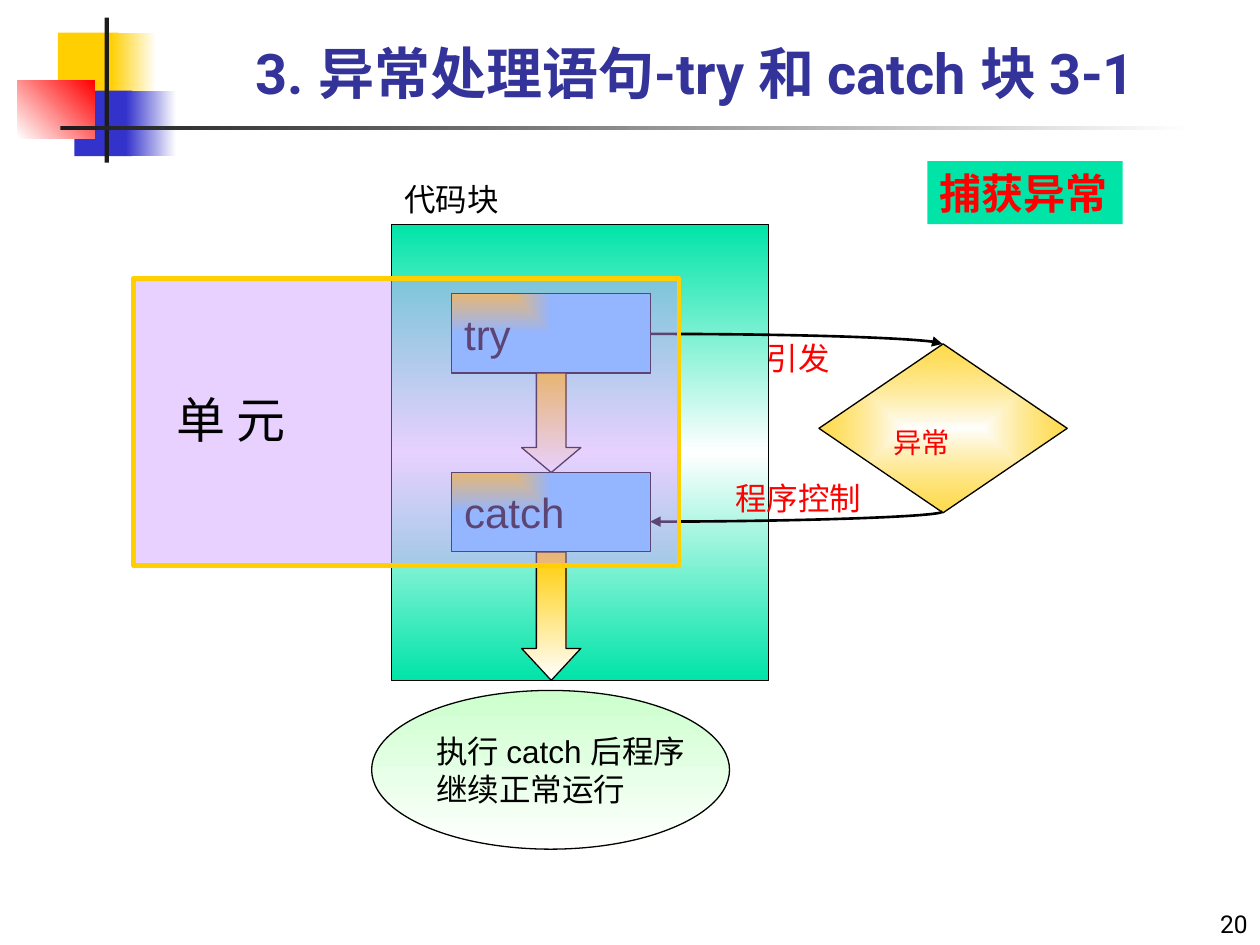
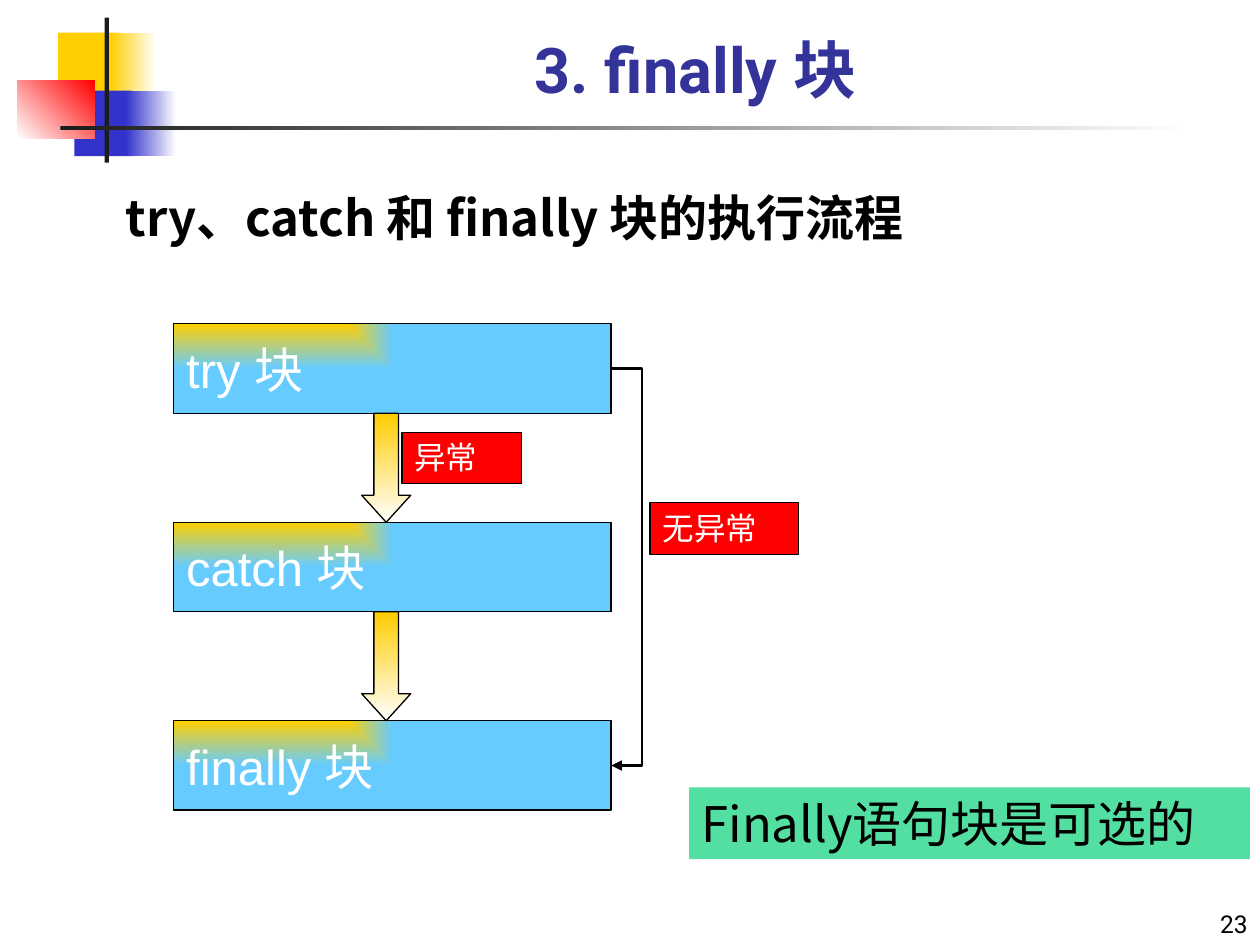
from typing import NamedTuple

from lxml import etree
from pptx import Presentation
from pptx.dml.color import RGBColor
from pptx.enum.shapes import MSO_CONNECTOR, MSO_SHAPE
from pptx.enum.text import MSO_ANCHOR, MSO_AUTO_SIZE, PP_ALIGN
from pptx.oxml.ns import qn
from pptx.util import Inches, Pt

RECT, OVAL = MSO_SHAPE.RECTANGLE, MSO_SHAPE.OVAL
PROCESS, DECISION = MSO_SHAPE.FLOWCHART_PROCESS, MSO_SHAPE.FLOWCHART_DECISION
DOWN_ARROW = MSO_SHAPE.DOWN_ARROW
CURVE, ELBOW = MSO_CONNECTOR.CURVE, MSO_CONNECTOR.ELBOW
LEFT, CENTER, RIGHT = PP_ALIGN.LEFT, PP_ALIGN.CENTER, PP_ALIGN.RIGHT
TOP, MIDDLE, BOTTOM = MSO_ANCHOR.TOP, MSO_ANCHOR.MIDDLE, MSO_ANCHOR.BOTTOM
NO_AUTOFIT = MSO_AUTO_SIZE.NONE

COLUMNS, ROWS = 100, 75
CELL = Inches(0.1)

BLACK, WHITE, RED, CHARCOAL = "000000", "FFFFFF", "FF0000", "1C1C1C"
GOLD, AMBER, INDIGO, NAVY = "FFCF01", "FFCC00", "3333CC", "333399"
SKY, TEAL, MINT, LIME = "66CCFF", "00E4A8", "54DFA2", "CCFFCC"
LILAC_GLASS, AMBER_GLASS = "CC99FF@45", "FFCC00@70"
ARIAL, ROBOTO, NOTO = "Arial", "Roboto", "Noto Sans CJK SC"


class Box(NamedTuple):
    """A rectangle in grid columns and rows."""
    x: float
    y: float
    w: float
    h: float

    def inner(self, dx, dy, w, h):
        """Return a box offset from this one's corner."""
        return Box(self.x + dx, self.y + dy, w, h)

    def emu(self):
        """Return the box in slide units."""
        return [round(v * CELL) for v in self]


PAGE = Box(0, 0, COLUMNS, ROWS)


def fade(start, end, angle=0):
    """Describe a linear two-colour gradient."""
    return {"stops": [(0, start), (100, end)], "angle": angle}


CORNER_GLOW = {"stops": [(0, GOLD), (100, SKY)], "outline": "rect",
               "focus": (0, 0, 100, 100)}
CENTER_GLOW = {"stops": [(0, WHITE), (100, AMBER_GLASS)], "outline": "shape",
               "focus": (50, 50, 50, 50)}
TEAL_BAND = {"stops": [(0, TEAL), (50, WHITE), (100, TEAL)], "angle": 90}


def rgb(colour):
    """Turn a hex string into a colour."""
    return RGBColor.from_string(colour)


def child(parent, tag, **attrs):
    """Append a drawing element with the given attributes."""
    return etree.SubElement(parent, qn(tag), {k: str(v) for k, v in attrs.items()})


def tint(parent, colour):
    """Append a hex colour, with an optional opacity after @."""
    value, _, opacity = colour.partition("@")
    node = child(parent, "a:srgbClr", val=value)
    if opacity:
        child(node, "a:alpha", val=int(opacity) * 1000)


def paint(s, fill):
    """Fill a shape with a colour or a gradient."""
    s.fill.solid()
    solid = s.element.spPr.find(qn("a:solidFill"))
    if isinstance(fill, str):
        solid.clear()
        tint(solid, fill)
        return
    grad = etree.Element(qn("a:gradFill"), rotWithShape="1")
    stops = child(grad, "a:gsLst")
    for pos, colour in fill["stops"]:
        tint(child(stops, "a:gs", pos=pos * 1000), colour)
    if "focus" in fill:
        node = child(grad, "a:path", path=fill["outline"])
        child(node, "a:fillToRect",
              **{k: v * 1000 for k, v in zip("ltrb", fill["focus"])})
    else:
        child(grad, "a:lin", ang=fill["angle"] * 60000, scaled=0)
    s.element.spPr.replace(solid, grad)


def write(tf, text, size, colour=BLACK, font=ARIAL, bold=False, align=LEFT,
          **frame):
    """Write lines of text in one format."""
    for name, value in frame.items():
        setattr(tf, name, value)
    for i, line in enumerate(text.split("\n")):
        p = tf.add_paragraph() if i else tf.paragraphs[0]
        p.alignment = align
        r = p.add_run()
        r.text = line
        for name, value in {"name": font, "size": Pt(size), "bold": bold}.items():
            setattr(r.font, name, value)
        r.font.color.rgb = rgb(colour)


def add_figure(slide, kind, box, fill, line=None, width=0.75, text="", **fmt):
    """Add a preset shape, with text if there is any."""
    s = slide.shapes.add_shape(kind, *box.emu())
    s.shadow.inherit = False
    paint(s, fill)
    if line:
        s.line.color.rgb = rgb(line)
        s.line.width = Pt(width)
    else:
        s.line.fill.background()
    if text:
        write(s.text_frame, text, **fmt)
    return s


def add_text(slide, box, text, size, **fmt):
    """Add a wrapping text box."""
    tf = slide.shapes.add_textbox(*box.emu()).text_frame
    write(tf, text, size, **{"word_wrap": True, **fmt})


def add_down_arrow(slide, box, head):
    """Add a golden block arrow."""
    s = add_figure(slide, DOWN_ARROW, box, fade(AMBER, WHITE, 90), BLACK)
    s.adjustments[0], s.adjustments[1] = 0.5, head


def add_route(slide, kind, preset, box, turn=0, bend=None):
    """Add an arrow running across a box from corner to corner."""
    x, y, w, h = box.emu()
    c = slide.shapes.add_connector(kind, x, y, x + w, y + h)
    c.line.color.rgb = rgb(BLACK)
    c.line.width = Pt(1.5)
    sp_pr = c.element.spPr
    child(sp_pr.find(qn("a:ln")), "a:tailEnd", type="triangle")
    child(sp_pr, "a:effectLst")
    sp_pr.find(qn("a:xfrm")).set("rot", str(turn * 60000))
    geom = sp_pr.find(qn("a:prstGeom"))
    geom.set("prst", preset)
    if bend:
        guides = geom.find(qn("a:avLst"))
        if guides is None:
            guides = child(geom, "a:avLst")
        child(guides, "a:gd", name="adj1", fmla=f"val {round(bend * 100000)}")


def add_emblem(slide, layout, box):
    """Draw the coloured squares and rules, and move them to the layout."""
    pieces = [
        ((3.2, 1.2, 4.8, 5.2), GOLD),
        ((7.4, 1.2, 3.6, 5.2), fade(GOLD, WHITE)),
        ((4.5, 5.8, 4.6, 5.2), INDIGO),
        ((8.6, 5.8, 4, 5.2), fade(INDIGO, WHITE)),
        ((0, 5, 6.1, 4.6), fade(WHITE, RED, 315)),
        ((6.9, 0, 0.35, 11.5), CHARCOAL),
        ((3.4, 8.6, 90, 0.35), fade(CHARCOAL, WHITE)),
    ]
    for place, fill in pieces:
        s = add_figure(slide, RECT, box.inner(*place), fill)
        layout.shapes.element.append(s.element)


def add_heading(slide, box, title, size, number):
    """Fill the title placeholder and add the page number."""
    s = slide.shapes.title
    s.left, s.top, s.width, s.height = box.inner(12.6, -0.3, 85.2, 9.2).emu()
    write(s.text_frame, title, size, NAVY, ROBOTO, True, CENTER,
          vertical_anchor=BOTTOM, word_wrap=True, auto_size=NO_AUTOFIT)
    add_text(slide, box.inner(42.9, 71.4, 57.1, 3.6), number, 14, font=ROBOTO,
             align=RIGHT, vertical_anchor=BOTTOM)


def add_code_block(slide, box):
    """Draw the code block with its try and catch steps."""
    pitch, step_h = 14.2, 6.3
    add_figure(slide, PROCESS, box, TEAL_BAND, BLACK)
    for i, word in enumerate(("try", "catch")):
        add_figure(slide, PROCESS, box.inner(4.75, 5.5 + i * pitch, 15.75, step_h),
                   CORNER_GLOW, BLACK, text=word, size=24, word_wrap=False,
                   vertical_anchor=MIDDLE)
    for i, (length, head) in enumerate(((pitch - step_h, 0.42), (10.2, 0.54))):
        top = 5.5 + i * pitch + step_h
        add_down_arrow(slide, box.inner(10.3, top, 4.7, length), head)
    add_figure(slide, OVAL, box.inner(-1.6, 37, 28.4, 12.6), fade(LIME, WHITE, 90),
               BLACK, text="执行 catch 后程序\n继续正常运行", size=18,
               word_wrap=False, vertical_anchor=MIDDLE)
    add_text(slide, box.inner(0, -4, 25.2, 4), "代码块", 18)


def add_exception_loop(slide, box):
    """Draw the exception diamond and the arrows to and from it."""
    s = add_figure(slide, DECISION, box.inner(13.4, 0.8, 19.7, 13.4), CENTER_GLOW,
                   BLACK, text="异常", size=28, colour=RED, word_wrap=False,
                   vertical_anchor=TOP)
    for props in s.element.iter(qn("a:rPr")):
        props.set("baseline", "-25000")
    add_route(slide, CURVE, "curvedConnector2", box.inner(11.2, 2.9, 0.8, 23.2), 90)
    add_route(slide, CURVE, "curvedConnector2", box.inner(0, 0, 23.2, 0.8))
    for dy, caption in ((11, "程序控制"), (-0.1, "引发")):
        add_text(slide, box.inner(1.5, dy, 20.5, 4), caption, 18, colour=RED,
                 align=CENTER, margin_left=0, margin_right=0)


def add_unit(slide, box):
    """Lay the translucent unit frame over the steps."""
    add_figure(slide, RECT, box, LILAC_GLASS, GOLD, 2.5)
    add_text(slide, box.inner(2.4, 8.3, 12.6, 5.7), "单 元", 28)


def add_tag(slide, box, fill, text, size, line=None, **fmt):
    """Add a filled label."""
    add_figure(slide, RECT, box, fill, line, text=text, size=size,
               vertical_anchor=TOP, **fmt)


def add_flow(slide, box):
    """Draw the try, catch and finally steps with their routes."""
    pitch, step_h = 15.75, 7.1
    for i, word in enumerate(("try", "catch", "finally")):
        add_figure(slide, RECT, box.inner(0, i * pitch, box.w, step_h), CORNER_GLOW,
                   BLACK, text=f"{word} 块", size=28, colour=WHITE,
                   word_wrap=False, vertical_anchor=MIDDLE)
    for i in range(2):
        add_down_arrow(slide, box.inner(14.9, i * pitch + step_h, 3.9,
                                        pitch - step_h), 0.55)
    sliver, reach = 0.02, 2.5
    add_route(slide, ELBOW, "bentConnector3",
              box.inner(box.w, step_h / 2, sliver, 2 * pitch), bend=reach / sliver)
    for place, label in (((37.8, 14.2, 11.8, 4.1), "无异常"),
                         ((18.1, 8.6, 9.5, 4.1), "异常")):
        add_tag(slide, box.inner(*place), RED, label, 18, BLACK, colour=WHITE)


def build_catch_slide(slide):
    """Build the slide on try and catch."""
    add_heading(slide, PAGE, "3. 异常处理语句-try 和 catch 块 3-1", 32, "20")
    add_code_block(slide, PAGE.inner(31.1, 17.8, 29.9, 36.2))
    add_exception_loop(slide, PAGE.inner(51.6, 26.5, 33.1, 15))
    add_unit(slide, PAGE.inner(10.6, 22.1, 43.3, 22.8))
    add_tag(slide, PAGE.inner(73.6, 12.8, 15.5, 5), TEAL, "捕获异常", 24,
            colour=RED, font=NOTO, bold=True, word_wrap=False)


def build_finally_slide(slide):
    """Build the slide on finally."""
    add_heading(slide, PAGE, "3. finally 块", 36, "23")
    add_flow(slide, PAGE.inner(13.8, 25.7, 34.7, 38.6))
    add_text(slide, PAGE.inner(9, 14.4, 74.8, 5.7),
             "try、catch 和 finally 块的执行流程", 28, font=NOTO, bold=True)
    add_tag(slide, PAGE.inner(54.7, 62.5, 44.5, 5.7), MINT,
            "Finally语句块是可选的", 28, font=NOTO)


def main():
    """Build and save the presentation."""
    prs = Presentation()
    prs.slide_width, prs.slide_height = COLUMNS * CELL, ROWS * CELL
    layout = prs.slide_layouts[5]
    slides = [prs.slides.add_slide(layout) for _ in range(2)]
    add_emblem(slides[0], layout, PAGE.inner(1.4, 1.4, 93.4, 11.5))
    build_catch_slide(slides[0])
    build_finally_slide(slides[1])
    prs.save("out.pptx")


if __name__ == "__main__":
    main()
